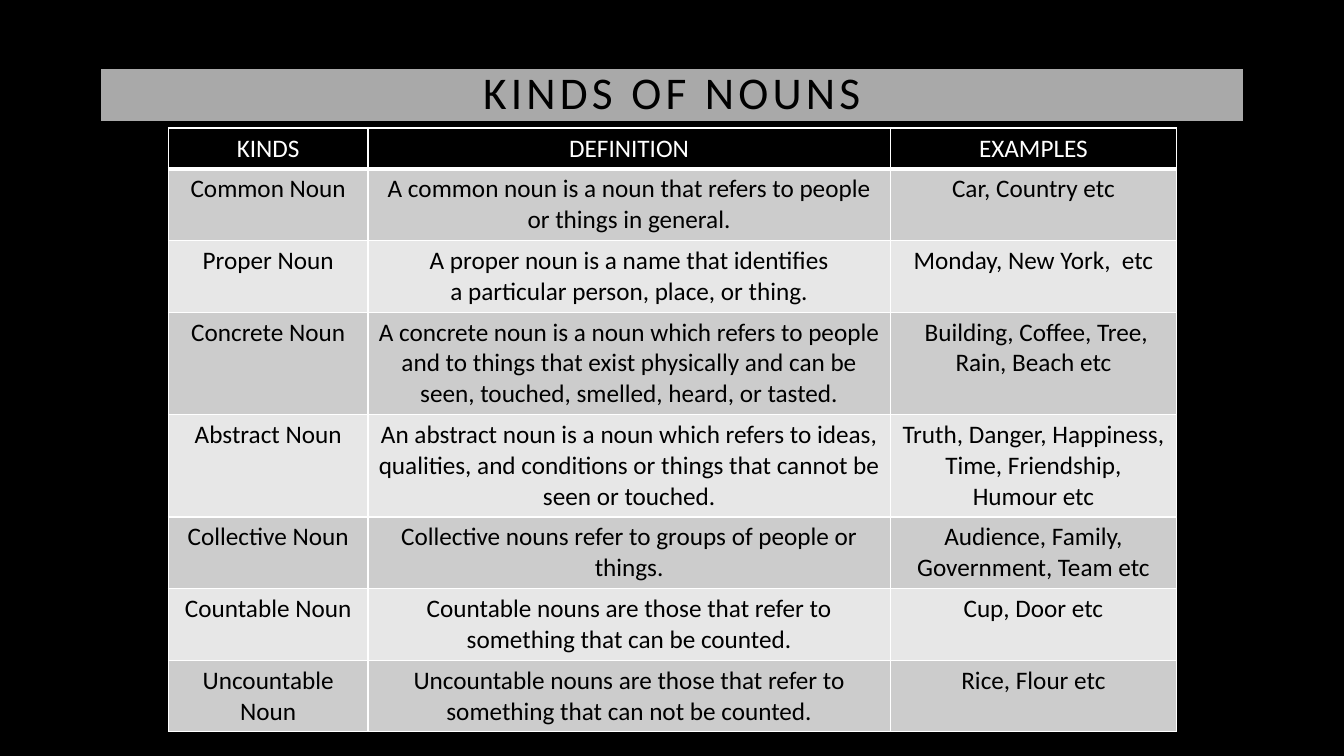
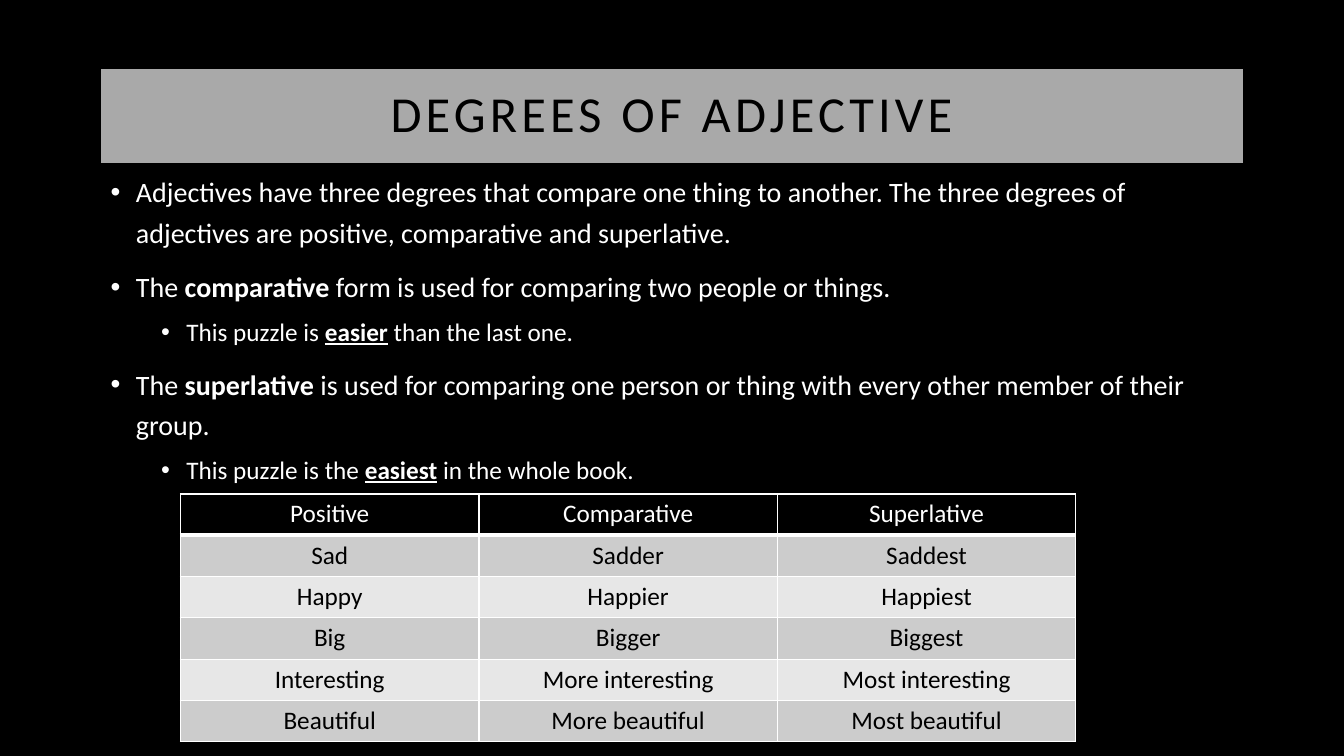
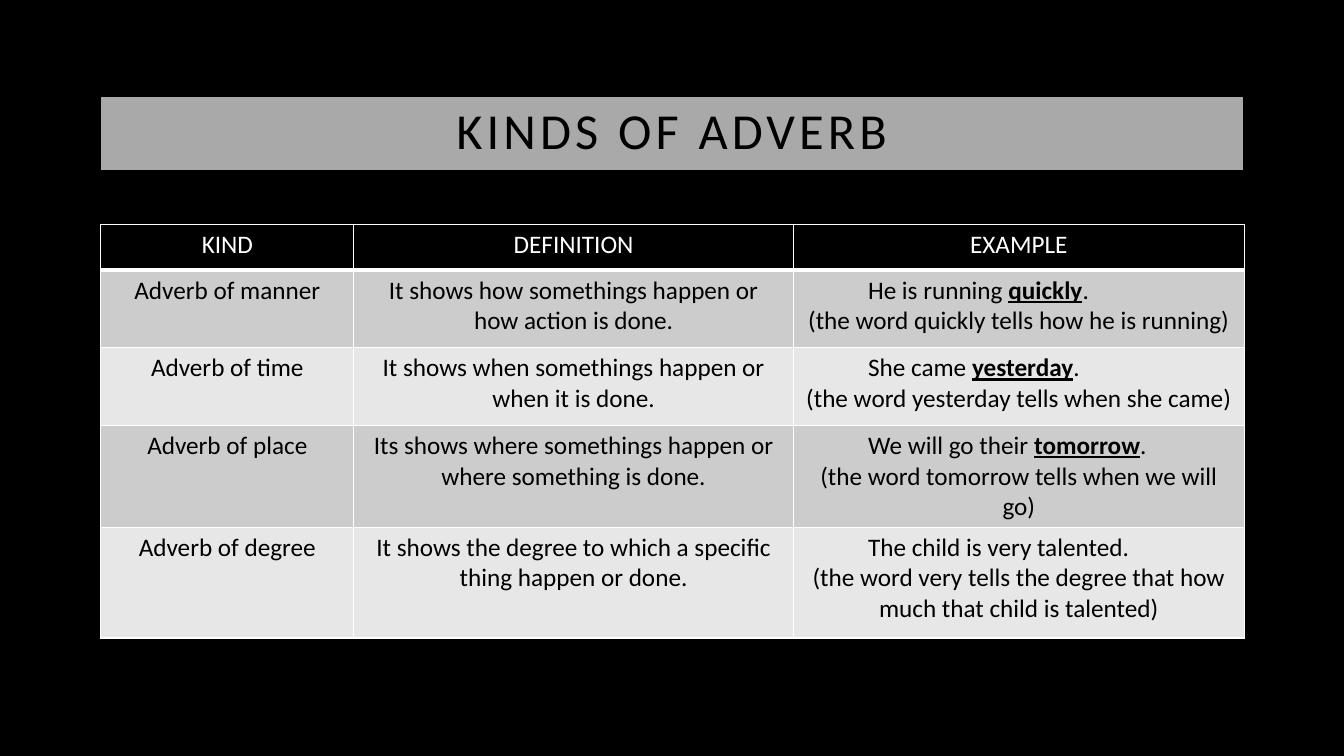
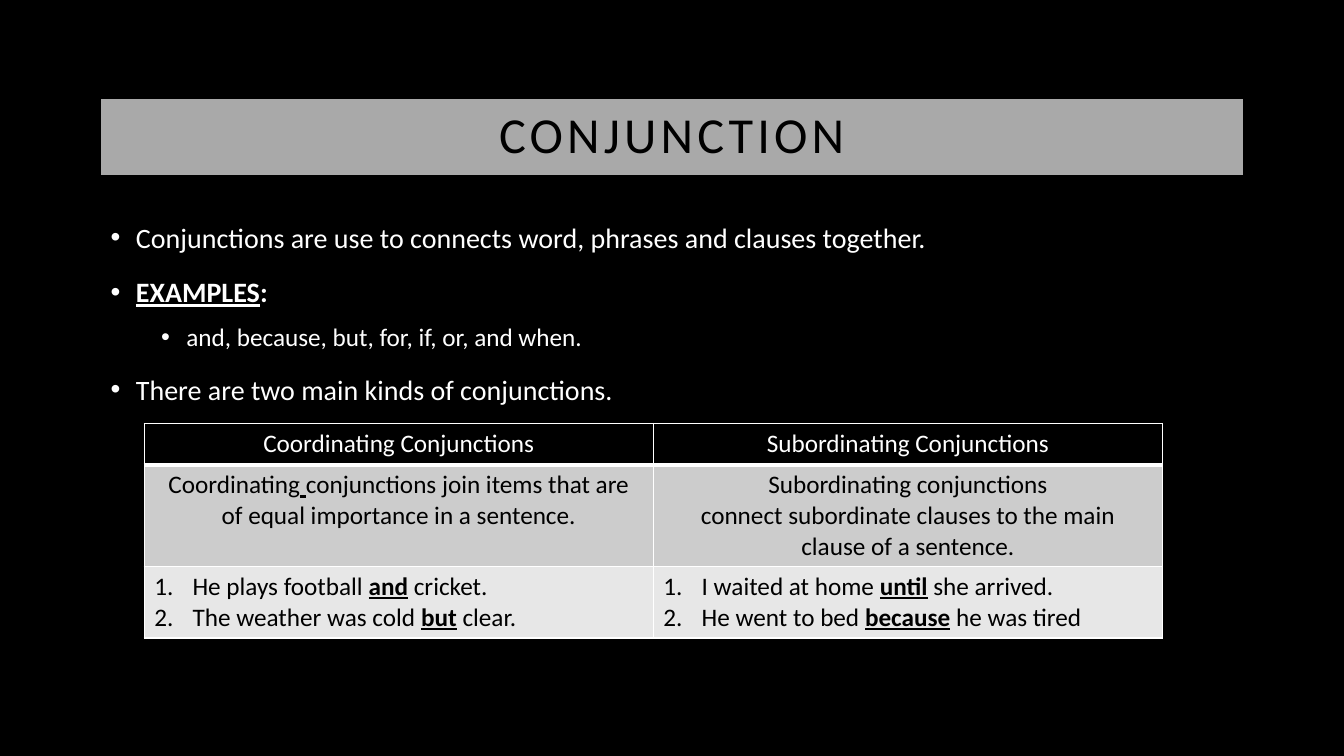
"""Build four grammar slides: nouns, adjectives, adverbs and conjunctions."""
import dataclasses

import lxml.etree
import pptx
import pptx.dml.color
import pptx.enum.shapes
import pptx.enum.text
import pptx.oxml.ns
import pptx.util

Inches = pptx.util.Inches
Pt = pptx.util.Pt
ALIGN = pptx.enum.text.PP_ALIGN


@dataclasses.dataclass(frozen=True)
class Theme:
    """Colours, type sizes and shared positions."""
    font: str = "Calibri"
    black: str = "000000"
    white: str = "FFFFFF"
    band: str = "A9A9A9"
    rows: tuple = ("E7E7E7", "CCCCCC")
    title_size: float = 36
    body_sizes: tuple = (20, 18)
    body_space: tuple = (10, 5)
    table_size: float = 18
    border: float = 1
    header_border: float = 3
    left: float = 1
    width: float = 11.33


THEME = Theme()


@dataclasses.dataclass(frozen=True)
class Line:
    """One paragraph; * toggles bold, _ toggles underline, ~ is a no-break space."""
    text: str
    align: object = ALIGN.LEFT
    indent: float = 0
    hanging: float = 0
    bullet: tuple = ()
    level: int = 0


def bullet(text, level=0):
    """Return a bulleted line."""
    return Line(text, indent=0.25 + 0.5 * level, hanging=0.25,
                bullet=("a:buChar", "char", "•"), level=level)


def numbered(text):
    """Return an automatically numbered line."""
    return Line(text, indent=0.38, hanging=0.38,
                bullet=("a:buAutoNum", "type", "arabicPeriod"))


def example(sentence, explanation):
    """Return an indented sentence above its centred explanation."""
    return [Line(sentence, indent=0.64), Line(explanation, ALIGN.CENTER)]


def rgb(value):
    """Turn a hex string into a colour."""
    return pptx.dml.color.RGBColor.from_string(value)


def add_element(parent, tag, **attributes):
    """Append a DrawingML element."""
    return lxml.etree.SubElement(parent, pptx.oxml.ns.qn(tag), **attributes)


def add_color(parent, color):
    """Append a solid fill to a line element."""
    add_element(add_element(parent, "a:solidFill"), "a:srgbClr", val=color)


def set_font(paragraph, size, color):
    """Give a paragraph its font."""
    paragraph.font.name = THEME.font
    paragraph.font.size = Pt(size)
    paragraph.font.color.rgb = rgb(color)


def add_runs(paragraph, text):
    """Add runs, reading the bold and underline marks."""
    bold = False
    for bold_part in text.replace("~", chr(160)).split("*"):
        underline = False
        for part in bold_part.split("_"):
            if part:
                run = paragraph.add_run()
                run.text = part
                run.font.bold = bold
                run.font.underline = underline
            underline = not underline
        bold = not bold


def write_line(paragraph, line, size, color):
    """Write one line into a paragraph."""
    paragraph.alignment = line.align
    paragraph.level = line.level
    properties = paragraph._p.get_or_add_pPr()
    properties.set("marL", str(Inches(line.indent)))
    properties.set("indent", str(Inches(-line.hanging)))
    if line.bullet:
        tag, attribute, value = line.bullet
        add_element(add_element(properties, "a:buClr"), "a:srgbClr", val=color)
        add_element(properties, "a:buFont", typeface="Arial" if tag == "a:buChar" else "+mj-lt")
        add_element(properties, tag, **{attribute: value})
    set_font(paragraph, size, color)
    add_runs(paragraph, line.text)


def paragraphs_for(text_frame, lines):
    """Yield each line with a paragraph to hold it."""
    for index, line in enumerate(lines):
        yield (text_frame.add_paragraph() if index else text_frame.paragraphs[0]), line


def add_titled_slide(presentation, title, top, height, size=THEME.title_size):
    """Add a slide with its title band."""
    slide = presentation.slides.add_slide(presentation.slide_layouts[6])
    shape = slide.shapes.add_shape(
        pptx.enum.shapes.MSO_SHAPE.RECTANGLE, Inches(THEME.left), Inches(top),
        Inches(THEME.width), Inches(height))
    shape.shadow.inherit = False
    shape.fill.solid()
    shape.fill.fore_color.rgb = rgb(THEME.band)
    shape.line.color.rgb = rgb(THEME.black)
    shape.line.width = Pt(0.75)
    shape.text_frame.word_wrap = True
    shape.text_frame.vertical_anchor = pptx.enum.text.MSO_ANCHOR.MIDDLE
    paragraph = shape.text_frame.paragraphs[0]
    paragraph.alignment = ALIGN.CENTER
    paragraph.line_spacing = 0.9
    set_font(paragraph, size, THEME.black)
    run = paragraph.add_run()
    run.text = title
    run._r.get_or_add_rPr().set("spc", "300")
    return slide


def add_body(slide, top, height, lines):
    """Add the bulleted text."""
    box = slide.shapes.add_textbox(Inches(THEME.left), Inches(top),
                                   Inches(THEME.width), Inches(height))
    box.text_frame.word_wrap = True
    for paragraph, line in paragraphs_for(box.text_frame, lines):
        paragraph.line_spacing = 1.2
        paragraph.space_before = Pt(THEME.body_space[line.level])
        write_line(paragraph, line, THEME.body_sizes[line.level], THEME.white)


def style_cell(cell, row_index):
    """Set the borders and fill of a cell."""
    properties = cell._tc.get_or_add_tcPr()
    heavy_side = {0: "B", 1: "T"}.get(row_index)
    for side in "LRTB":
        width = THEME.header_border if side == heavy_side else THEME.border
        add_color(add_element(properties, "a:ln" + side, w=str(Pt(width))), THEME.white)
    cell.fill.solid()
    cell.fill.fore_color.rgb = rgb(THEME.rows[row_index % 2] if row_index else THEME.black)


def add_grid(slide, left, top, widths, heights, rows):
    """Add a table with a black header and alternating grey rows."""
    table = slide.shapes.add_table(
        len(rows), len(widths), Inches(left), Inches(top),
        Inches(sum(widths)), Inches(sum(heights))).table
    table.horz_banding = False
    for column, width in zip(table.columns, widths):
        column.width = Inches(width)
    for row_index, (row, height, contents) in enumerate(zip(table.rows, heights, rows)):
        row.height = Inches(height)
        color = THEME.black if row_index else THEME.white
        for cell, content in zip(row.cells, contents):
            style_cell(cell, row_index)
            lines = [Line(content, ALIGN.CENTER)] if isinstance(content, str) else content
            for paragraph, line in paragraphs_for(cell.text_frame, lines):
                write_line(paragraph, line, THEME.table_size, color)


def add_nouns(presentation):
    """Add the slide on kinds of nouns."""
    slide = add_titled_slide(presentation, "KINDS OF NOUNS", 0.68, 0.53, 32.4)
    add_grid(slide, 1.67, 1.27, [1.98, 5.18, 2.84],
             [0.4, 0.71, 0.71, 1.01, 1.01, 0.71, 0.71, 0.71], [
        ("KINDS", "DEFINITION", "EXAMPLES"),
        ("Common Noun",
         "A common noun is a noun that refers to people or things in general.",
         "Car, Country etc"),
        ("Proper Noun",
         "A proper noun is a name that identifies a~particular~person, place, or thing.",
         "Monday, New York,  etc"),
        ("Concrete Noun",
         "A concrete noun is a noun which refers to people and to things that exist"
         "~physically~and can be seen, touched, smelled, heard, or tasted.",
         " Building, Coffee, Tree, Rain, Beach etc"),
        ("Abstract Noun",
         "An~abstract~noun is a noun which refers to ideas, qualities, and~conditions "
         "or things that cannot be seen or touched.",
         "Truth, Danger, Happiness, Time, Friendship, Humour etc"),
        ("Collective Noun",
         "Collective nouns refer to groups of people or things.",
         "Audience, Family, Government, Team etc"),
        ("Countable Noun",
         "Countable nouns are those that refer to something that can be counted.",
         "Cup, Door etc"),
        ("Uncountable Noun",
         "Uncountable nouns are those that refer to something that can not be counted.",
         "Rice, Flour etc"),
    ])


def add_adjectives(presentation):
    """Add the slide on degrees of adjective."""
    slide = add_titled_slide(presentation, "DEGREES OF ADJECTIVE", 0.68, 0.94)
    add_body(slide, 1.62, 3.28, [
        bullet("Adjectives~have three~degrees~that compare one thing to another. "
               "The three~degrees of adjectives~are positive, comparative and superlative."),
        bullet("The~*comparative*~form is used for comparing two people or things."),
        bullet("This puzzle is~*_easier_*~than the last one.", 1),
        bullet("The~*superlative*~is used for~comparing~one person or thing with every "
               "other member of their group."),
        bullet("This puzzle is the~*_easiest_*~in the whole book.", 1),
    ])
    rows = [
        ("Positive", "Comparative", "Superlative"),
        ("Sad", "Sadder", "Saddest"),
        ("Happy", "Happier", "Happiest"),
        ("Big", "Bigger", "Biggest"),
        ("Interesting", "More interesting", "Most interesting"),
        ("Beautiful", "More beautiful", "Most beautiful"),
    ]
    add_grid(slide, 1.79, 4.9, [2.96] * 3, [0.41] * len(rows), rows)


def add_adverbs(presentation):
    """Add the slide on kinds of adverb."""
    slide = add_titled_slide(presentation, "KINDS OF ADVERB", 0.96, 0.73)
    add_grid(slide, 1, 2.23, [2.51, 4.36, 4.47], [0.45, 0.77, 0.77, 1.01, 1.1], [
        ("KIND", "DEFINITION", "EXAMPLE"),
        ("Adverb of manner",
         "It shows how somethings happen or how action is done.",
         example("He is running *_quickly_*.",
                 "(the word quickly tells how he is running)")),
        ("Adverb of time",
         "It shows when somethings happen or when it is done.",
         example("She came *_yesterday_*.",
                 "(the word yesterday tells when she came)")),
        ("Adverb of place",
         "Its shows where somethings happen or where something is done.",
         example("We will go their *_tomorrow_*.",
                 "(the word tomorrow tells when we will go)")),
        ("Adverb of degree",
         "It shows the degree to which a specific thing happen or done.",
         example("The child is very talented.",
                 "(the word very tells the degree that how much that child is talented)")),
    ])


def add_conjunctions(presentation):
    """Add the slide on conjunctions."""
    slide = add_titled_slide(presentation, "CONJUNCTION", 0.98, 0.76)
    add_body(slide, 2.07, 2.13, [
        bullet("Conjunctions are use to connects word, phrases and clauses together."),
        bullet("*_EXAMPLES_:*"),
        bullet("and, because, but, for, if, or,~and~when.", 1),
        bullet("There are two main kinds of conjunctions."),
    ])
    add_grid(slide, 1.43, 4.2, [5.05] * 2, [0.41, 1.01, 0.71], [
        ("Coordinating Conjunctions", "Subordinating Conjunctions"),
        ("Coordinating_ _conjunctions join items that are of~equal~importance "
         "in a sentence.",
         "Subordinating~conjunctions connect~subordinate clauses to the~main "
         "clause~of a sentence."),
        ([numbered("He plays football~*_and_*~cricket."),
          numbered("The weather was cold~*_but_*~clear.")],
         [numbered("I waited at home~*_until_*~she arrived."),
          numbered("He went to bed~*_because_*~he was tired")]),
    ])


def main():
    """Build and save the presentation."""
    presentation = pptx.Presentation()
    presentation.slide_width = Inches(13.33)
    presentation.slide_height = Inches(7.5)
    background = presentation.slide_master.background.fill
    background.solid()
    background.fore_color.rgb = rgb(THEME.black)
    add_nouns(presentation)
    add_adjectives(presentation)
    add_adverbs(presentation)
    add_conjunctions(presentation)
    presentation.save("out.pptx")


if __name__ == "__main__":
    main()
